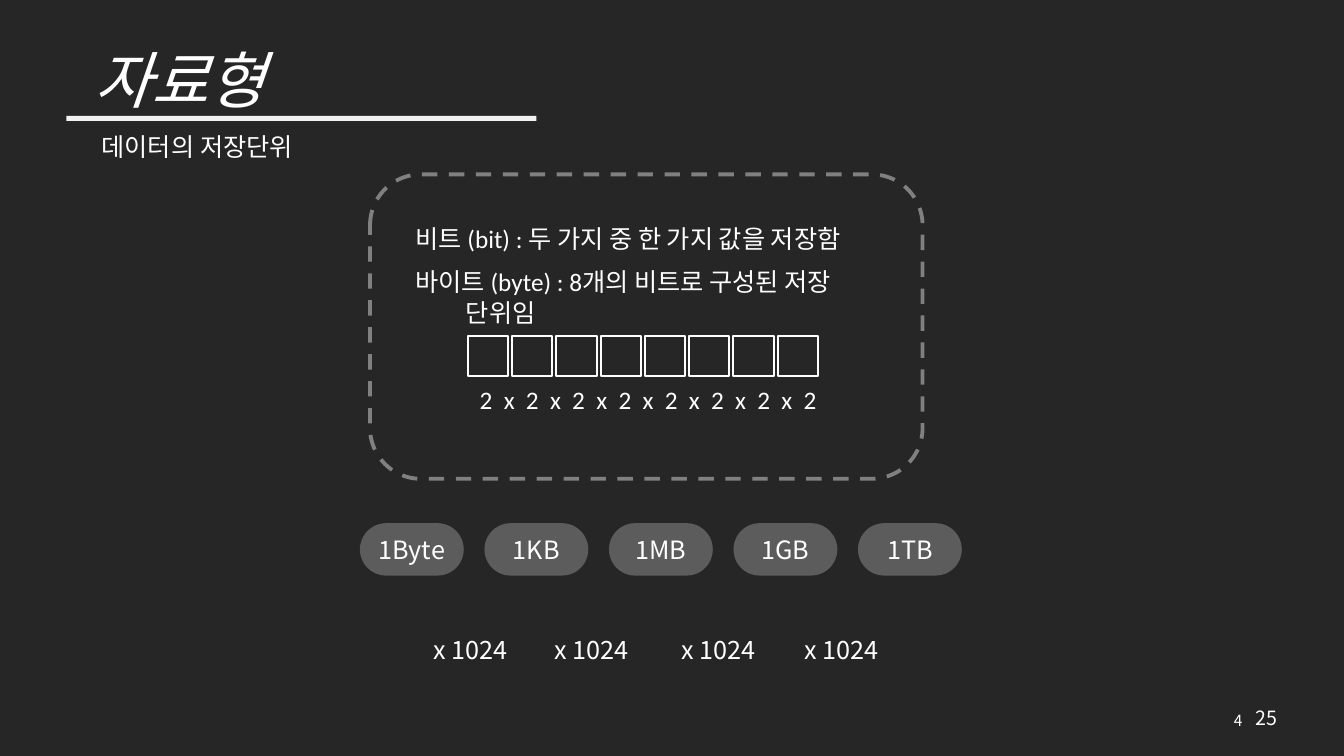
from dataclasses import dataclass

from lxml.etree import SubElement
from pptx import Presentation
from pptx.dml.color import RGBColor
from pptx.enum.dml import MSO_LINE
from pptx.enum.shapes import MSO_SHAPE
from pptx.enum.text import MSO_ANCHOR, MSO_AUTO_SIZE, PP_ALIGN
from pptx.oxml.ns import qn
from pptx.util import Inches, Pt


@dataclass(frozen=True)
class Theme:
    back: str = "262626"
    ink: str = "FFFFFF"
    bar: str = "F2F2F2"
    frame: str = "808080"
    pill: str = "5C5C5C"
    sans: str = "Noto Sans CJK KR"
    latin: str = "Calibri"
    head: int = 44
    text: int = 18
    page: int = 14
    small: int = 11


class Deck:
    """One slide on a grid of 133.3 columns by 75 rows."""

    def __init__(self, theme):
        self.theme = theme
        self.file = Presentation()
        self.file.slide_width = self.size(133.3)
        self.file.slide_height = self.size(75)
        self.slide = self.file.slides.add_slide(self.file.slide_layouts[1])
        fill = self.slide.background.fill
        fill.solid()
        fill.fore_color.rgb = RGBColor.from_string(theme.back)

    def size(self, cells):
        return Inches(cells / 10)

    def move(self, item, box):
        item.left, item.top, item.width, item.height = map(self.size, box)

    def run(self, para, words, size=None, face=None, slant=None, gap=None):
        """Add a styled run; gap is letter spacing in points."""
        run = para.add_run()
        run.text = words
        font = run.font
        font.size = Pt(size or self.theme.text)
        font.name = face or self.theme.sans
        font.italic = slant
        font.color.rgb = RGBColor.from_string(self.theme.ink)
        props = run._r.get_or_add_rPr()
        SubElement(props, qn("a:ea")).set("typeface", self.theme.sans)
        if gap:
            props.set("spc", str(gap * 100))

    def title(self, box, words):
        item = self.slide.shapes.title
        self.move(item, box)
        frame = item.text_frame
        frame.auto_size = MSO_AUTO_SIZE.NONE
        frame.vertical_anchor = MSO_ANCHOR.MIDDLE
        para = frame.paragraphs[0]
        para.alignment = PP_ALIGN.CENTER
        para.line_spacing = 0.9
        self.run(para, words, self.theme.head, slant=True)

    def body(self, box, items, stop):
        """Fill the body; later lines of an item start at the tab stop."""
        item = self.slide.placeholders[1]
        self.move(item, box)
        frame = item.text_frame
        frame.auto_size = MSO_AUTO_SIZE.NONE
        frame.vertical_anchor = MSO_ANCHOR.TOP
        for row, lines in enumerate(items):
            para = frame.add_paragraph() if row else frame.paragraphs[0]
            para.space_before = Pt(9 if row else 0)
            props = para._p.get_or_add_pPr()
            props.set("marL", "0")
            props.set("indent", "0")
            SubElement(props, qn("a:buNone"))
            tabs = SubElement(props, qn("a:tabLst"))
            tab = SubElement(tabs, qn("a:tab"))
            tab.set("pos", str(self.size(stop)))
            tab.set("algn", "l")
            for count, line in enumerate(lines):
                if count:
                    para.add_line_break()
                self.run(para, "\t" * bool(count) + line, face=self.theme.latin)

    def text(self, box, words, align=PP_ALIGN.LEFT,
             anchor=MSO_ANCHOR.TOP, wrap=True, **style):
        item = self.slide.shapes.add_textbox(*map(self.size, box))
        frame = item.text_frame
        frame.word_wrap = wrap
        frame.vertical_anchor = anchor
        para = frame.paragraphs[0]
        para.alignment = align
        self.run(para, words, **style)

    def shape(self, kind, box, fill=None, line=None, width=1.5, dash=None):
        item = self.slide.shapes.add_shape(kind, *map(self.size, box))
        item.shadow.inherit = False
        if fill:
            item.fill.solid()
            item.fill.fore_color.rgb = RGBColor.from_string(fill)
        else:
            item.fill.background()
        if line:
            item.line.color.rgb = RGBColor.from_string(line)
            item.line.width = Pt(width)
            item.line.dash_style = dash
        else:
            item.line.fill.background()
        return item

    def pill(self, box, words):
        item = self.shape(MSO_SHAPE.ROUNDED_RECTANGLE, box, self.theme.pill)
        item.adjustments[0] = 0.5
        frame = item.text_frame
        frame.vertical_anchor = MSO_ANCHOR.MIDDLE
        para = frame.paragraphs[0]
        para.alignment = PP_ALIGN.CENTER
        self.run(para, words)


def main():
    theme = Theme()
    deck = Deck(theme)

    deck.title((6.6, 2.9, 22.4, 10.8), "자료형")
    deck.shape(MSO_SHAPE.RECTANGLE, (6.6, 11.5, 46.6, 0.5), theme.bar)
    deck.text((9.1, 12.5, 28.6, 4), "데이터의 저장단위", face=theme.latin)

    deck.shape(MSO_SHAPE.ROUNDED_RECTANGLE, (36.7, 17.3, 54.8, 30.2),
               line=theme.frame, width=2.75, dash=MSO_LINE.DASH)
    deck.body((40.2, 21.7, 50, 11.4), (
        ("비트 (bit) : 두 가지 중 한 가지 값을 저장함",),
        ("바이트 (byte) : 8개의 비트로 구성된 저장", "단위임"),
    ), stop=18.4)

    bits = 8
    for bit in range(bits):
        deck.shape(MSO_SHAPE.RECTANGLE, (46.4 + 4.39 * bit, 33.3, 4, 4),
                   line=theme.ink)
    deck.text((46.6, 37.6, 43.7, 4), " x ".join(["2"] * bits),
              face=theme.latin, gap=2)

    for col, unit in enumerate(("1Byte", "1KB", "1MB", "1GB", "1TB")):
        deck.pill((35.7 + 12.35 * col, 51.9, 10.3, 5.2), unit)
    for left in (42, 54, 66.6, 78.8):
        deck.text((left, 62.4, 10.5, 4), "x 1024")

    deck.text((94.2, 69.5, 30, 4), "4", PP_ALIGN.RIGHT, MSO_ANCHOR.MIDDLE,
              size=theme.small)
    deck.text((123.5, 69.5, 4.2, 3.4), "25", wrap=False, size=theme.page)

    deck.file.save("out.pptx")


if __name__ == "__main__":
    main()
